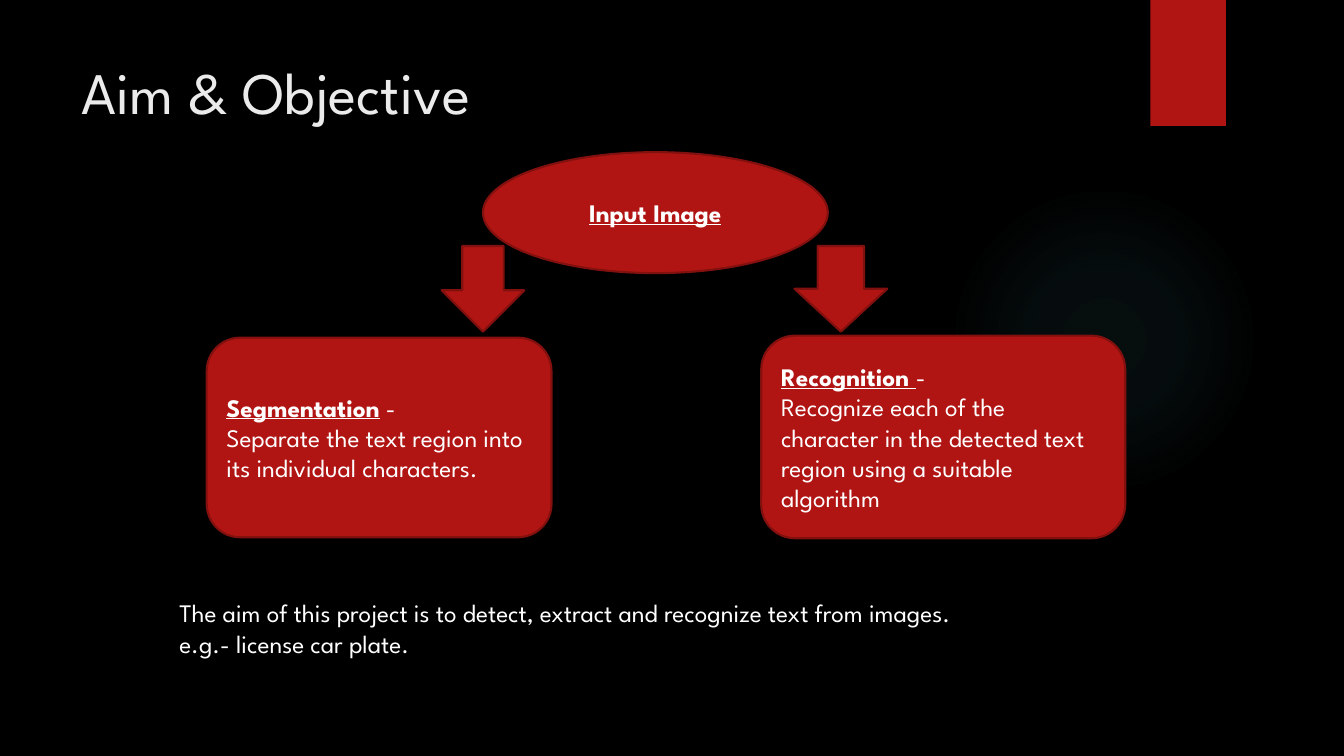
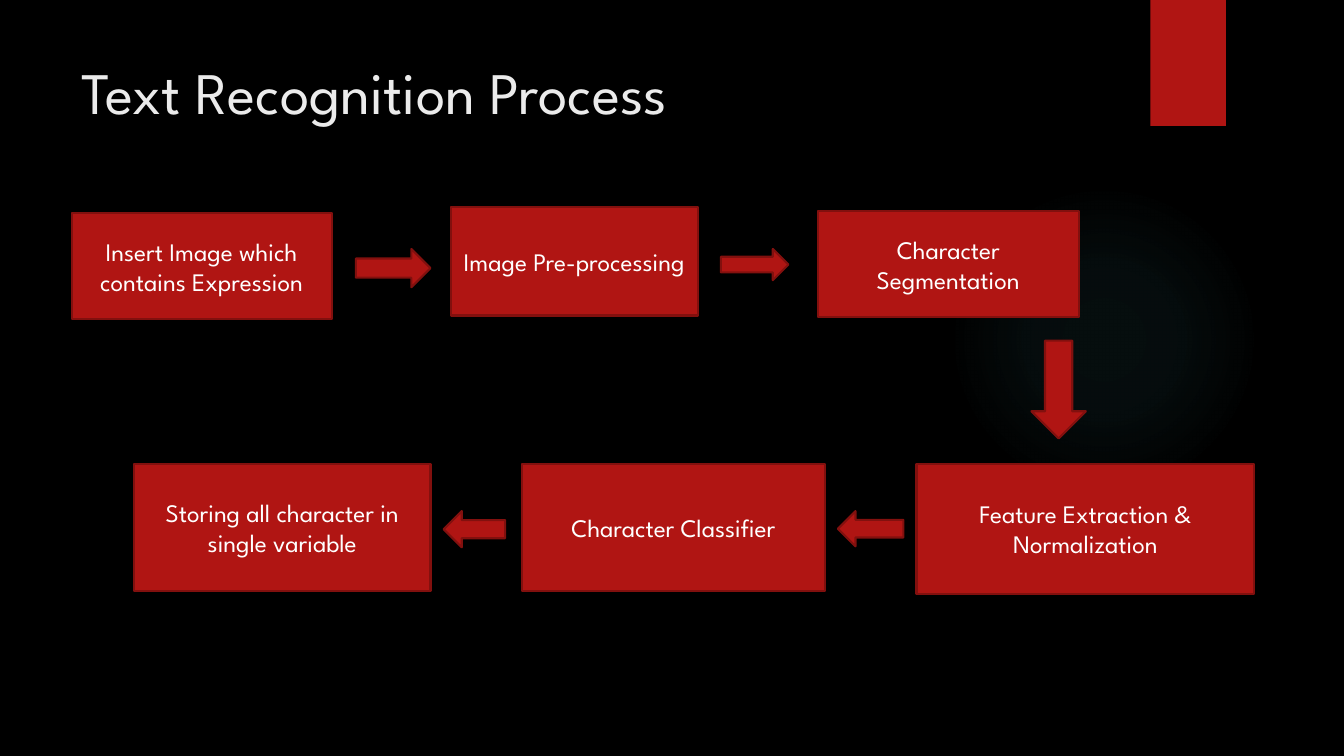
from dataclasses import dataclass

from pptx import Presentation
from pptx.dml.color import RGBColor
from pptx.enum.shapes import MSO_SHAPE
from pptx.enum.text import MSO_ANCHOR, PP_ALIGN
from pptx.oxml import parse_xml
from pptx.oxml.ns import nsdecls
from pptx.util import Inches, Pt

RECTANGLE, OVAL = MSO_SHAPE.RECTANGLE, MSO_SHAPE.OVAL
CARD = MSO_SHAPE.FLOWCHART_ALTERNATE_PROCESS
DOWN, LEFT, RIGHT = MSO_SHAPE.DOWN_ARROW, MSO_SHAPE.LEFT_ARROW, MSO_SHAPE.RIGHT_ARROW
TOP, MIDDLE = MSO_ANCHOR.TOP, MSO_ANCHOR.MIDDLE
ALIGN_LEFT, ALIGN_CENTER = PP_ALIGN.LEFT, PP_ALIGN.CENTER


@dataclass(frozen=True)
class Theme:
    font: str = "League Spartan"
    background: str = "000000"
    red: str = "B01513"
    outline: str = "82100E"
    glow: str = "50B9C1"
    title: str = "EBEBEB"
    body: str = "FFFFFF"
    title_size: int = 42
    body_size: int = 18
    line_width: float = 1.5


THEME = Theme()
BODY = {"name": THEME.font, "size": Pt(THEME.body_size), "color": THEME.body}
TITLE = {**BODY, "size": Pt(THEME.title_size), "color": THEME.title}
HEADING = {**BODY, "bold": True, "underline": True}


def inches(box):
    return [Inches(length) for length in box]


def write_text(shape, paragraphs, align, anchor):
    """Each paragraph is a list of (text, format) runs."""
    frame = shape.text_frame
    frame.word_wrap = True
    frame.vertical_anchor = anchor
    for index, runs in enumerate(paragraphs):
        paragraph = frame.add_paragraph() if index else frame.paragraphs[0]
        paragraph.alignment = align
        for text, text_format in runs:
            run = paragraph.add_run()
            run.text = text
            for name, value in text_format.items():
                if name == "color":
                    run.font.color.rgb = RGBColor.from_string(value)
                else:
                    setattr(run.font, name, value)


def add_text(slide, box, paragraphs):
    write_text(slide.shapes.add_textbox(*inches(box)), paragraphs, ALIGN_LEFT, TOP)


def add_block(slide, kind, box, paragraphs=(), align=ALIGN_CENTER, outlined=True):
    shape = slide.shapes.add_shape(kind, *inches(box))
    shape.shadow.inherit = False
    shape.fill.solid()
    shape.fill.fore_color.rgb = RGBColor.from_string(THEME.red)
    if outlined:
        shape.line.color.rgb = RGBColor.from_string(THEME.outline)
        shape.line.width = Pt(THEME.line_width)
    else:
        shape.line.fill.background()
    if paragraphs:
        write_text(shape, paragraphs, align, MIDDLE)


def add_glow(slide, box):
    shape = slide.shapes.add_shape(OVAL, *inches(box))
    shape.shadow.inherit = False
    shape.line.fill.background()
    stops = "".join(
        f'<a:gs pos="{position * 1000}"><a:srgbClr val="{THEME.glow}">'
        f'<a:alpha val="{opacity * 1000}"/></a:srgbClr></a:gs>'
        for position, opacity in ((0, 7), (36, 6), (69, 0)))
    gradient = parse_xml(
        f'<a:gradFill {nsdecls("a")} rotWithShape="1"><a:gsLst>{stops}</a:gsLst>'
        '<a:path path="circle"><a:fillToRect l="50000" t="50000" r="50000" b="50000"/>'
        '</a:path></a:gradFill>')
    shape.element.spPr.prstGeom.addnext(gradient)


def add_base_slide(presentation, title):
    """Glow, red tab and title shared by all slides."""
    slide = presentation.slides.add_slide(presentation.slide_layouts[6])
    add_glow(slide, (9.41, 1.83, 3.08, 3.08))
    add_block(slide, RECTANGLE, (11.41, 0, 0.75, 1.25), outlined=False)
    add_text(slide, (0.71, 0.5, 10.29, 0.97), [[(title, TITLE)]])
    return slide


def add_parts(slide, origin, parts):
    """Place (kind, box, paragraphs, align) parts relative to the region's corner."""
    left, top = origin
    for kind, (x, y, width, height), paragraphs, align in parts:
        add_block(slide, kind, (left + x, top + y, width, height), paragraphs, align)


def arrow(kind, *box):
    return kind, box, (), ALIGN_CENTER


def step(text, *box):
    return RECTANGLE, box, [[(text, BODY)]], ALIGN_CENTER


def card(heading, dash, text, *box):
    return CARD, box, [[(heading, HEADING), (dash, BODY)], [(text, BODY)]], ALIGN_LEFT


def build_aim(presentation):
    slide = add_base_slide(presentation, "Aim & Objective")
    # Input image splits into two tasks
    add_parts(slide, (2.05, 1.51), [
        (OVAL, (2.74, 0, 3.42, 1.2), [[("Input Image", HEADING)]], ALIGN_CENTER),
        card("Segmentation", " -",
             "Separate the text region into its individual characters.",
             0, 1.84, 3.42, 1.98),
        card("Recognition ", "-",
             "Recognize each of the character in the detected text region "
             "using a suitable algorithm",
             5.5, 1.82, 3.61, 2.01),
        arrow(DOWN, 2.33, 0.93, 0.82, 0.85),
        arrow(DOWN, 5.83, 0.93, 0.92, 0.85),
    ])
    # Summary
    add_text(slide, (1.68, 5.88, 10, 1.01), [
        [("The aim of this project is to detect, extract and recognize text "
          "from images.", BODY)],
        [("e.g.- license car plate.", BODY)],
    ])


def build_process(presentation):
    slide = add_base_slide(presentation, "Text Recognition Process")
    # Upper row, read left to right, then the turn downwards
    add_parts(slide, (0.71, 2.05), [
        step("Insert Image which contains Expression", 0, 0.06, 2.58, 1.06),
        arrow(RIGHT, 2.82, 0.42, 0.74, 0.38),
        step("Image Pre-processing", 3.76, 0, 2.45, 1.08),
        arrow(RIGHT, 6.44, 0.42, 0.67, 0.31),
        step("Character Segmentation", 7.4, 0.04, 2.59, 1.06),
        arrow(DOWN, 9.52, 1.33, 0.54, 0.97),
    ])
    # Lower row, read right to left
    add_parts(slide, (1.33, 4.6), [
        step("Feature Extraction & Normalization", 7.76, 0, 3.35, 1.29),
        arrow(LEFT, 6.98, 0.47, 0.65, 0.35),
        step("Character Classifier", 3.85, 0, 3, 1.26),
        arrow(LEFT, 3.07, 0.47, 0.61, 0.36),
        step("Storing all character in single variable", 0, 0, 2.94, 1.26),
    ])


def main():
    presentation = Presentation()
    presentation.slide_width, presentation.slide_height = inches((13.33, 7.5))
    background = presentation.slide_master.background.fill
    background.solid()
    background.fore_color.rgb = RGBColor.from_string(THEME.background)
    build_aim(presentation)
    build_process(presentation)
    presentation.save("out.pptx")


if __name__ == "__main__":
    main()
